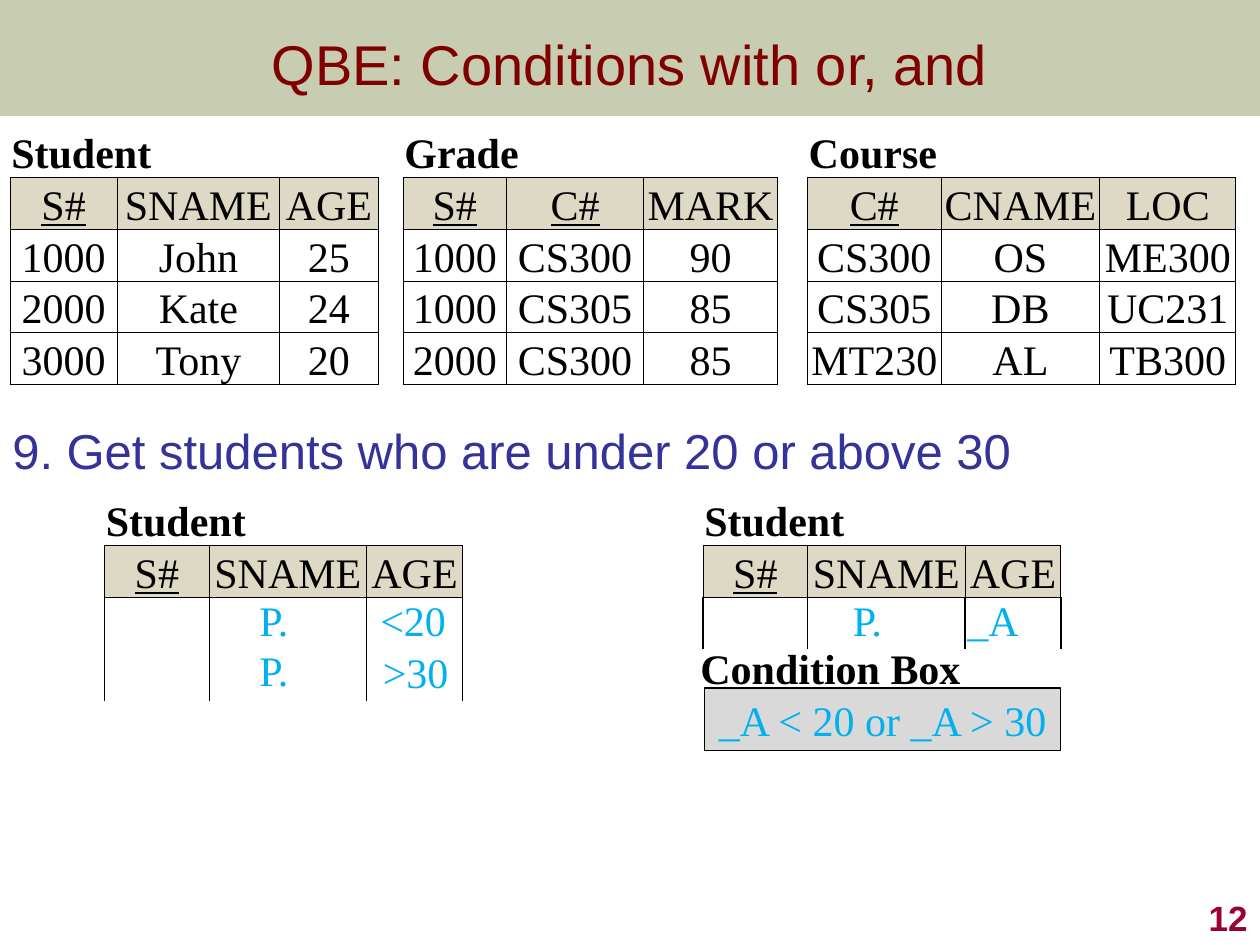
"""Build a slide on query-by-example conditions with or and and."""
from dataclasses import dataclass

from lxml import etree
from pptx import Presentation
from pptx.dml.color import RGBColor
from pptx.enum import shapes, text
from pptx.oxml import ns
from pptx.util import Inches, Pt


@dataclass(frozen=True)
class Theme:
    sans: str = "Arial"
    serif: str = "Times New Roman"
    black: str = "000000"
    white: str = "FFFFFF"
    olive: str = "677228"
    maroon: str = "800000"
    navy: str = "333399"
    wine: str = "990033"
    sky: str = "00B0F0"
    tan: str = "DDD9C4"
    gray: str = "D9D9D9"
    title: int = 32
    task: int = 28
    cell: int = 24
    page: int = 20


T = Theme()


@dataclass
class Table:
    name: str
    heads: list[str]
    keys: set[str]
    cols: list[float]
    rows: list[list[str]]


@dataclass
class Label:
    words: str
    left: float
    top: float
    width: float
    color: str = T.sky
    bold: bool = False


def rgb(code: str) -> RGBColor:
    return RGBColor.from_string(code)


def style(par, font: str, size: int, color: str, bold: bool = False, align=None) -> None:
    par.font.name, par.font.size, par.font.bold = font, Pt(size), bold
    par.font.color.rgb = rgb(color)
    par.alignment = align


def border(cell, sides: str, width: float) -> None:
    props = cell._tc.get_or_add_tcPr()
    for spot, side in enumerate("LRTB"):
        line = etree.Element(ns.qn(f"a:ln{side}"), w=str(Pt(width)))
        if side in sides:
            fill = etree.SubElement(line, ns.qn("a:solidFill"))
            etree.SubElement(fill, ns.qn("a:srgbClr"), val=T.black)
        else:
            etree.SubElement(line, ns.qn("a:noFill"))
        props.insert(spot, line)


def put(cell, words: str, fill: str = T.white, sides: str = "", width: float = 0.5,
        bold: bool = False, key: bool = False) -> None:
    cell.margin_left = cell.margin_right = cell.margin_top = Inches(0.01)
    cell.margin_bottom = 0
    cell.vertical_anchor = text.MSO_ANCHOR.BOTTOM
    cell.fill.solid()
    cell.fill.fore_color.rgb = rgb(fill)
    border(cell, sides, width)
    par = cell.text_frame.paragraphs[0]
    if words:
        par.text = words
    style(par, T.serif, T.cell, T.black, bold,
          text.PP_ALIGN.LEFT if bold else text.PP_ALIGN.CENTER)
    if key:
        par.font.underline = True


def draw(slide, left: float, top: float, high: float, tables: list[Table],
         gaps: tuple[float, ...] = (), width: float = 0.5) -> None:
    cols = []
    for i, table in enumerate(tables):
        cols += ([gaps[i - 1]] if i else []) + table.cols
    count = len(tables[0].rows) + 2
    frame = slide.shapes.add_table(count, len(cols), Inches(left), Inches(top),
                                   Inches(sum(cols)), Inches(high * count))
    grid = frame.table
    grid.first_row = grid.horz_banding = False
    for col, size in zip(grid.columns, cols):
        col.width = Inches(size)
    for row in grid.rows:
        row.height = Inches(high)
    start = 0
    for i, table in enumerate(tables):
        if i:
            for r in range(count):
                put(grid.cell(r, start), "", sides="LR" if r else "")
            start += 1
        last = start + len(table.cols) - 1
        for c in range(start, last + 1):
            put(grid.cell(0, c), table.name if c == start else "", sides="B", bold=True)
        grid.cell(0, start).merge(grid.cell(0, last))
        for c, head in enumerate(table.heads, start):
            put(grid.cell(1, c), head, T.tan, "LRTB", key=head in table.keys)
        for r, row in enumerate(table.rows, 2):
            for c, words in enumerate(row, start):
                sides = "LRTB" if words else "LRT" if r == 2 else "LR"
                put(grid.cell(r, c), words, sides=sides, width=width)
        start = last + 1


def write(slide, label: Label) -> None:
    box = slide.shapes.add_textbox(Inches(label.left), Inches(label.top),
                                   Inches(label.width), Inches(0.5))
    box.text_frame.word_wrap = False
    par = box.text_frame.paragraphs[0]
    par.text = label.words
    style(par, T.serif, T.cell, label.color, label.bold)


def block(slide, top: float, high: float, fill: str, left: float = 0, width: float = 10):
    shape = slide.shapes.add_shape(shapes.MSO_SHAPE.RECTANGLE, Inches(left), Inches(top),
                                   Inches(width), Inches(high))
    shape.shadow.inherit = False
    shape.fill.solid()
    shape.fill.fore_color.rgb = rgb(fill)
    shape.line.fill.background()
    return shape


def head(slide) -> None:
    band = block(slide, 0, 0.92, T.olive)
    tint = band.fill._xPr.find(ns.qn("a:solidFill"))[0]
    etree.SubElement(tint, ns.qn("a:alpha"), val="36000")
    title = slide.shapes.title
    slide.shapes._spTree.append(title._element)
    title.left, title.top, title.width, title.height = 0, 0, Inches(10), Inches(1)
    title.text_frame.text = "QBE: Conditions with or, and"
    title.text_frame.vertical_anchor = text.MSO_ANCHOR.MIDDLE
    style(title.text_frame.paragraphs[0], T.sans, T.title, T.maroon,
          align=text.PP_ALIGN.CENTER)


def task(slide) -> None:
    box = slide.shapes.add_textbox(0, Inches(3.34), Inches(10), Inches(2.91))
    box.text_frame.word_wrap = True
    box.text_frame.margin_right = 0
    par = box.text_frame.paragraphs[0]
    par.text = "9. Get students who are under 20 or above 30"
    par.line_spacing = 0.9
    style(par, T.sans, T.task, T.navy)


def page(slide) -> None:
    box = slide.shapes.add_textbox(Inches(7.92), Inches(7), Inches(2.08), Inches(0.5))
    box.text_frame.word_wrap = True
    box.text_frame.vertical_anchor = text.MSO_ANCHOR.BOTTOM
    par = box.text_frame.paragraphs[0]
    par.text = "12"
    style(par, T.sans, T.page, T.wine, True, text.PP_ALIGN.RIGHT)


def rule(slide) -> None:
    box = block(slide, 5.46, 0.5, T.gray, 5.59, 2.83)
    box.line.color.rgb = rgb(T.black)
    box.line.width = Pt(0.75)
    box.text_frame.word_wrap = False
    par = box.text_frame.paragraphs[0]
    par.text = "_A < 20 or _A > 30"
    style(par, T.serif, T.cell, T.sky, align=text.PP_ALIGN.CENTER)


def query(count: int) -> Table:
    return Table("Student", ["S#", "SNAME", "AGE"], {"S#"}, [0.83, 1.25, 0.76],
                 [[""] * 3 for _ in range(count)])


def main() -> None:
    deck = Presentation()
    deck.slide_width, deck.slide_height = Inches(10), Inches(7.5)
    slide = deck.slides.add_slide(deck.slide_layouts[5])
    head(slide)
    task(slide)
    page(slide)
    data = [
        Table("Student", ["S#", "SNAME", "AGE"], {"S#"}, [0.85, 1.29, 0.78],
              [["1000", "John", "25"], ["2000", "Kate", "24"], ["3000", "Tony", "20"]]),
        Table("Grade", ["S#", "C#", "MARK"], {"S#", "C#"}, [0.82, 1.09, 1.06],
              [["1000", "CS300", "90"], ["1000", "CS305", "85"], ["2000", "CS300", "85"]]),
        Table("Course", ["C#", "CNAME", "LOC"], {"C#"}, [1.06, 1.26, 1.08],
              [["CS300", "OS", "ME300"], ["CS305", "DB", "UC231"], ["MT230", "AL", "TB300"]]),
    ]
    draw(slide, 0.08, 1, 0.41, data, (0.2, 0.24))
    draw(slide, 0.83, 3.92, 0.38, [query(2)])
    draw(slide, 5.58, 3.92, 0.41, [query(1)], width=1)
    rule(slide)
    for label in (Label("P.", 1.96, 4.67, 0.44), Label("<20", 2.92, 4.67, 0.73),
                  Label("P.", 1.96, 5.07, 0.44), Label(">30", 2.94, 5.08, 0.73),
                  Label("P.", 6.67, 4.67, 0.44), Label("_A", 7.58, 4.67, 0.61),
                  Label("Condition Box", 5.46, 5.05, 2.29, T.black, True)):
        write(slide, label)
    deck.save("out.pptx")


if __name__ == "__main__":
    main()
